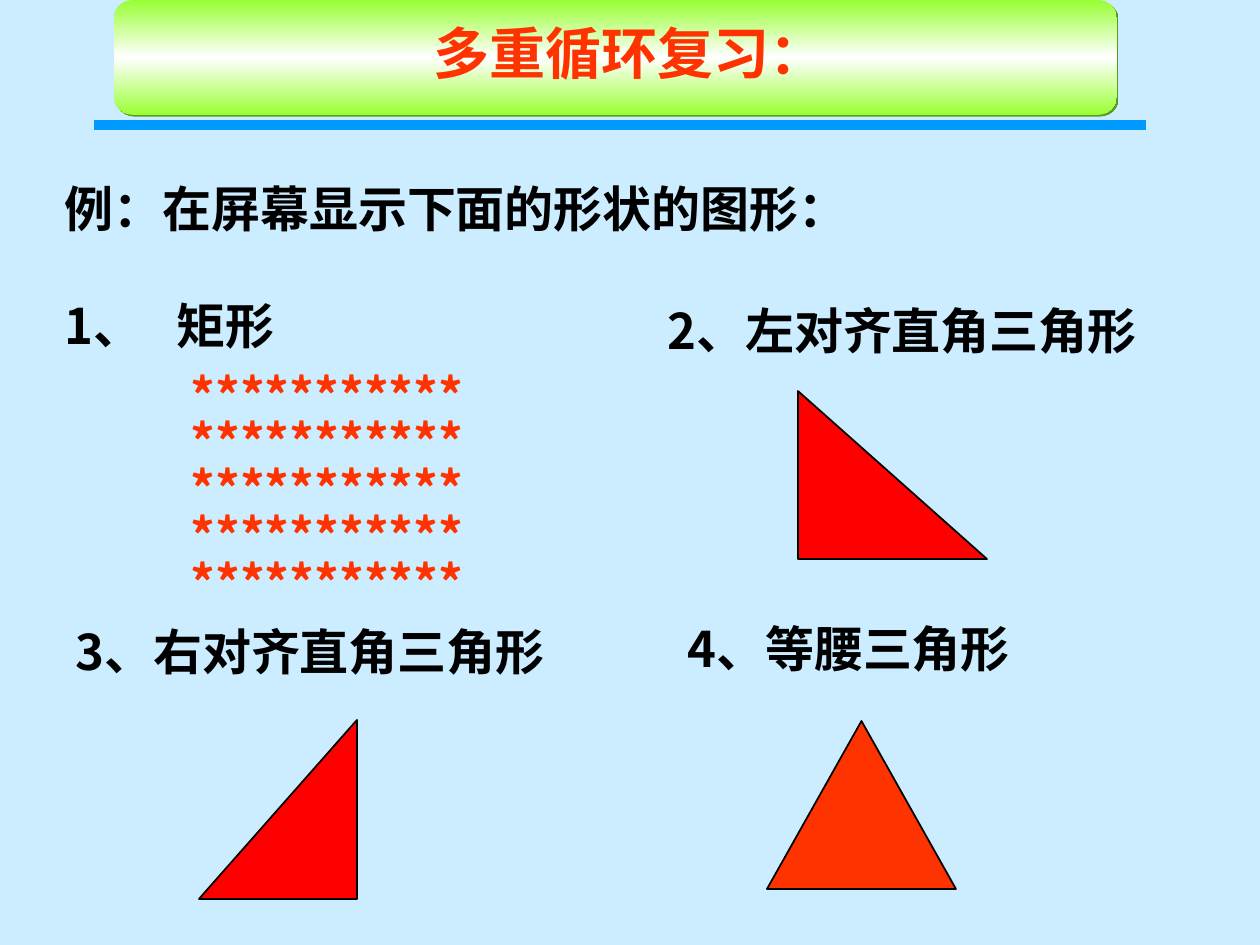
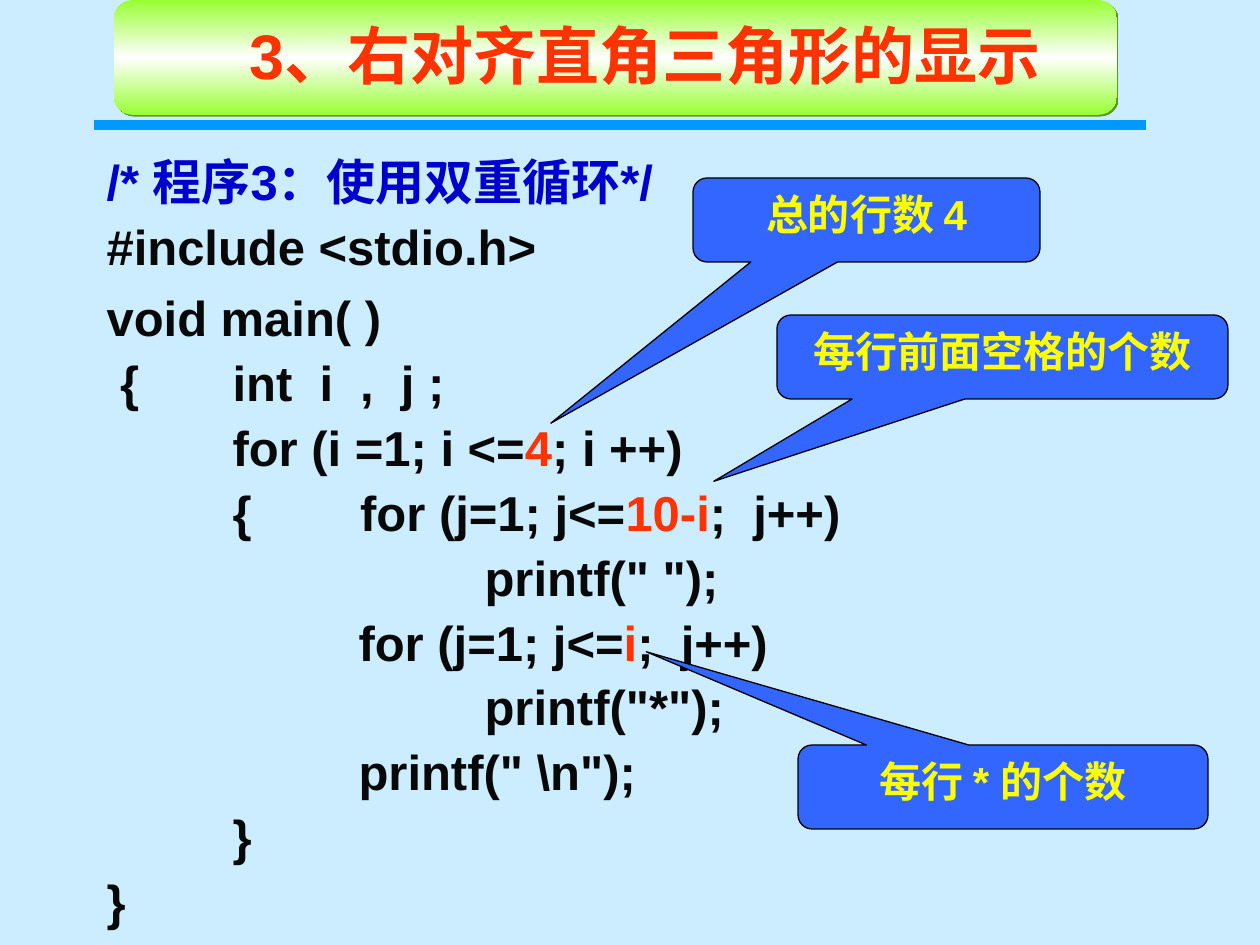
from copy import deepcopy

from pptx import Presentation
from pptx.dml.color import RGBColor
from pptx.enum.shapes import MSO_CONNECTOR as Connector, MSO_SHAPE as Shape
from pptx.enum.text import MSO_ANCHOR as Anchor, MSO_AUTO_SIZE as AutoSize, PP_ALIGN as Align
from pptx.oxml import parse_xml
from pptx.oxml.ns import nsdecls, qn
from pptx.util import Emu, Pt

COLORS = {
    "sky": "CCECFF", "rule": "0099FF", "lime": "99FF33", "white": "FFFFFF",
    "band_shadow": "5C991F", "orange": "FF3300", "red": "FF0000", "black": "000000",
    "comment": "0000CC", "code": "080808", "callout": "3366FF", "yellow": "FFFF00",
}
CJK, LATIN = "Noto Sans CJK SC", "Arial"
PX_PER_INCH = 126
TAB = PX_PER_INCH

REVIEW = {
    "title": "多重循环复习：", "title_at": (124, 0, 1012, 105),
    "example": "例：在屏幕显示下面的形状的图形：",
    "rectangle": "1、\t矩形",
    "star_row": "*" * 11, "star_rows": 5,
    "body_at": (52, 172, 829, 446),
    "figures": [
        ("2、左对齐直角三角形", (655, 294, 507, 72), Shape.RIGHT_TRIANGLE, (798, 391, 189, 168), "red", False),
        ("3、右对齐直角三角形", (63, 615, 535, 72), Shape.RIGHT_TRIANGLE, (199, 720, 158, 179), "red", True),
        ("4、等腰三角形", (675, 613, 359, 72), Shape.ISOSCELES_TRIANGLE, (767, 721, 189, 168), "orange", False),
    ],
}

PROGRAM = {
    "title": "3、右对齐直角三角形的显示", "title_at": (94, 2, 1103, 105),
    "body_at": (94, 139, 1103, 797),
    "comment": "/* 程序3：使用双重循环*/",
    "lines": [
        ("#include <stdio.h>",),
        ("void main( )",),
        (" {\tint  i  ,  j ;",),
        ("\tfor (i =1; i <=", "4", "; i ++)"),
        ("\t{        for (j=1; j<=", "10-i", ";  j++)"),
        ('\t\t\tprintf(" ");',),
        ("\t\tfor (j=1; j<=", "i", ";  j++)"),
        ('\t\t\tprintf("*");',),
        ('\t\tprintf(" \\n");',),
        ("\t}",),
        ("}",),
    ],
    "callouts": [
        ("总的行数 4", (693, 178, 347, 84), (-0.91, 2.42)),
        ("每行前面空格的个数", (777, 315, 451, 84), (-0.64, 1.48)),
        ("每行 * 的个数", (798, 745, 410, 84), (-0.87, -1.61)),
    ],
}


def px(length):
    return Emu(round(length * 914400 / PX_PER_INCH))


def box(rect):
    return [px(length) for length in rect]


def rgb(name):
    return RGBColor.from_string(COLORS[name])


def place(holder, rect):
    holder.left, holder.top, holder.width, holder.height = box(rect)


def style_run(run, size, color, face):
    run.font.size, run.font.bold, run.font.name = Pt(size), True, face
    run.font.color.rgb = rgb(color)
    latin = run.font._element.find(qn("a:latin"))
    latin.addnext(parse_xml(f'<a:ea {nsdecls("a")} typeface="{CJK}"/>'))


def write(paragraph, parts, size, colors, face, pitch=None, before=0, after=0,
          margin=0, indent=0, align=Align.LEFT):
    props = paragraph._element.get_or_add_pPr()
    props.set("marL", str(px(margin)))
    props.set("indent", str(px(indent)))
    props.set("defTabSz", str(px(TAB)))
    props.append(parse_xml(f'<a:buNone {nsdecls("a")}/>'))
    paragraph.alignment = align
    paragraph.space_before, paragraph.space_after = Pt(before), Pt(after)
    if pitch:
        paragraph.line_spacing = Pt(pitch)
    for part, color in zip(parts, colors):
        run = paragraph.add_run()
        run.text = part
        style_run(run, size, color, face)


def write_body(slide, rect, rows):
    body = slide.placeholders[1]
    place(body, rect)
    frame = body.text_frame
    frame.auto_size, frame.word_wrap = AutoSize.NONE, True
    for index, row in enumerate(rows):
        write(frame.paragraphs[0] if index == 0 else frame.add_paragraph(), **row)


def write_title(slide, content, size, face):
    title = slide.shapes.title
    place(title, content["title_at"])
    title.text_frame.auto_size = AutoSize.NONE
    title.text_frame.vertical_anchor = Anchor.MIDDLE
    write(title.text_frame.paragraphs[0], [content["title"]], size, ["orange"], face,
          align=Align.CENTER)


def add_figure(slide, kind, rect, fill, line_width):
    figure = slide.shapes.add_shape(kind, *box(rect))
    figure.shadow.inherit = False
    figure.fill.solid()
    figure.fill.fore_color.rgb = rgb(fill)
    figure.line.color.rgb = rgb("black")
    figure.line.width = Pt(line_width)
    return figure


def decorate_master(master, slide):
    master.background.fill.solid()
    master.background.fill.fore_color.rgb = rgb("sky")
    for level in master._element.iter(qn("a:lvl1pPr")):
        level.set("defTabSz", str(px(TAB)))

    rule = slide.shapes.add_connector(Connector.STRAIGHT, *box((94, 125, 1146, 125)))
    rule.line.color.rgb = rgb("rule")
    rule.line.width = Pt(6)
    rule._element.spPr.append(parse_xml(f'<a:effectLst {nsdecls("a")}/>'))

    band = slide.shapes.add_shape(Shape.ROUNDED_RECTANGLE, *box((114, 0, 1003, 115)))
    band.line.fill.background()
    band.fill.gradient()
    band.fill.gradient_angle = 90
    stops = band._element.spPr.find(".//" + qn("a:gsLst"))
    stops.append(deepcopy(stops[0]))
    for stop, position, color in zip(band.fill.gradient_stops, (0, 0.5, 1), ("lime", "white", "lime")):
        stop.position = position
        stop.color.rgb = rgb(color)
    band.shadow.inherit = False
    band._element.spPr.find(qn("a:effectLst")).append(parse_xml(
        f'<a:outerShdw {nsdecls("a")} dist="{Pt(1.4)}" dir="2700000" algn="ctr" rotWithShape="0">'
        f'<a:srgbClr val="{COLORS["band_shadow"]}"/></a:outerShdw>'))

    for number, part in enumerate((rule, band), start=20):
        part._element.find(".//" + qn("p:cNvPr")).set("id", str(number))
        master.shapes._spTree.append(part._element)


def build_review(slide):
    write_title(slide, REVIEW, 32, CJK)
    text = dict(size=28, face=CJK, pitch=33.5)
    rows = [
        dict(text, parts=[REVIEW["example"]], colors=["black"]),
        dict(text, parts=[REVIEW["rectangle"]], colors=["black"], before=33.5,
             margin=112, indent=-112),
    ]
    for index in range(REVIEW["star_rows"]):
        rows.append(dict(text, parts=[REVIEW["star_row"]], colors=["orange"], pitch=26.8,
                         before=0 if index else 13, margin=TAB))
    write_body(slide, REVIEW["body_at"], rows)

    for label, label_at, kind, figure_at, fill, flipped in REVIEW["figures"]:
        caption = slide.shapes.add_textbox(*box(label_at))
        caption.text_frame.word_wrap = True
        write(caption.text_frame.paragraphs[0], [label], colors=["black"], **text)
        triangle = add_figure(slide, kind, figure_at, fill, 1)
        if flipped:
            triangle._element.spPr.get_or_add_xfrm().set("flipH", "1")


def build_program(slide):
    write_title(slide, PROGRAM, 36, LATIN)
    text = dict(size=28, face=LATIN, pitch=37.1)
    rows = [dict(text, parts=[PROGRAM["comment"]], colors=["comment"])]
    for index, parts in enumerate(PROGRAM["lines"]):
        rows.append(dict(text, parts=parts, colors=("code", "orange", "code"),
                         after=0 if index else 3.5))
    write_body(slide, PROGRAM["body_at"], rows)

    for note, rect, tip in PROGRAM["callouts"]:
        callout = add_figure(slide, Shape.ROUNDED_RECTANGULAR_CALLOUT, rect, "callout", 0.75)
        callout.adjustments[0], callout.adjustments[1] = tip
        callout.text_frame.word_wrap = True
        callout.text_frame.vertical_anchor = Anchor.TOP
        write(callout.text_frame.paragraphs[0], [note], 24, ["yellow"], LATIN, align=Align.CENTER)


def main():
    deck = Presentation()
    deck.slide_width, deck.slide_height = px(1260), px(945)
    layout = deck.slide_layouts[1]
    review, program = (deck.slides.add_slide(layout) for _ in range(2))
    decorate_master(deck.slide_master, review)
    build_review(review)
    build_program(program)
    deck.save("out.pptx")


if __name__ == "__main__":
    main()
